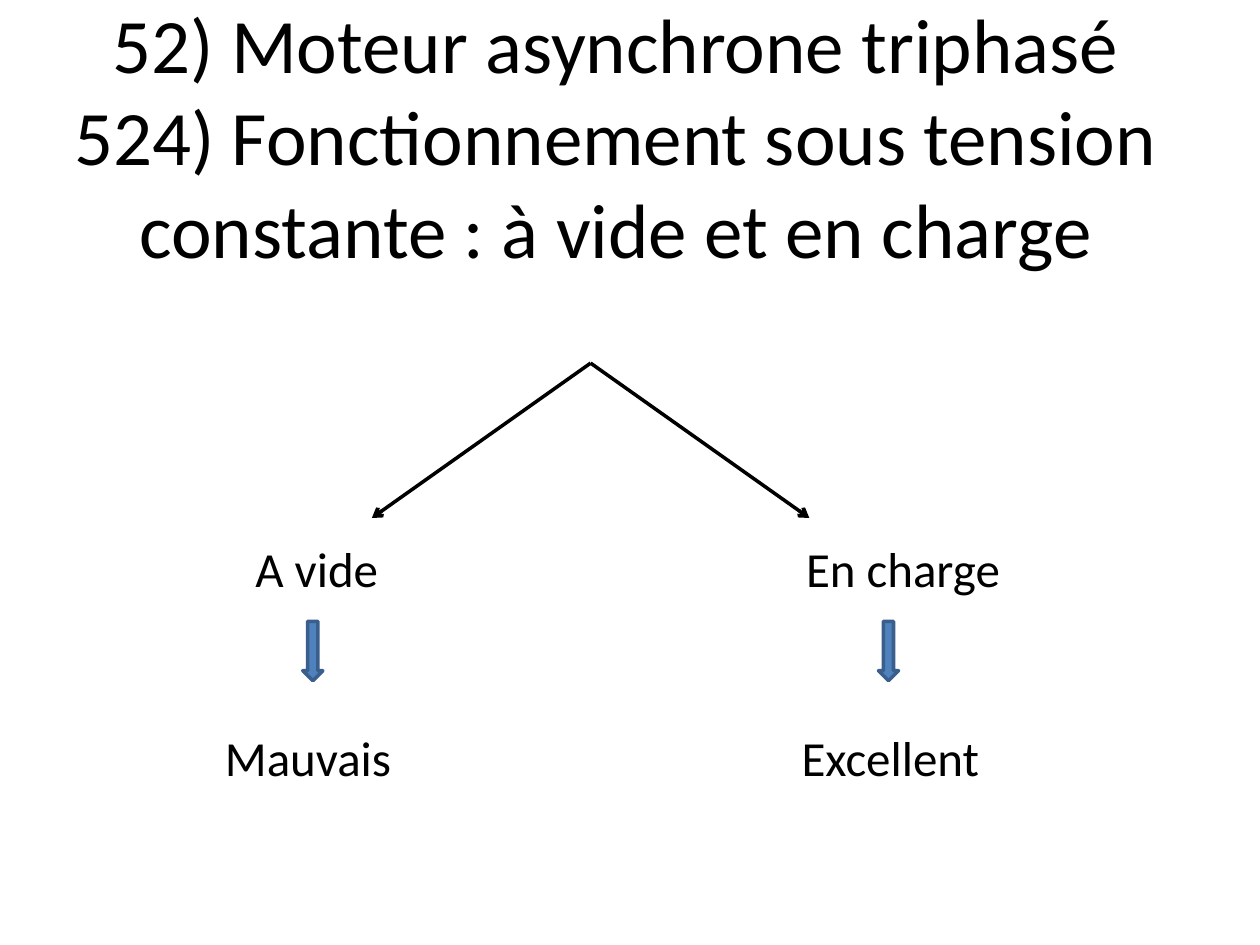
import pptx
import pptx.util
import pptx.dml.color
import pptx.enum.shapes
import pptx.enum.text
import pptx.oxml.ns
import lxml.etree

Pt = pptx.util.Pt
Align = pptx.enum.text.PP_ALIGN
Kind = pptx.enum.shapes


class Deck:
    """Holds the style and the current slide, and draws each kind of element."""

    font = "Calibri"
    hues = {"ink": "000000", "fill": "4F81BD", "edge": "3A5F8C"}

    def __init__(self, wide, high):
        self.file = pptx.Presentation()
        self.file.slide_width = Pt(wide)
        self.file.slide_height = Pt(high)
        self.slide = self.file.slides.add_slide(self.file.slide_layouts[5])

    def hue(self, name):
        return pptx.dml.color.RGBColor.from_string(self.hues[name])

    def run(self, para, text, size):
        run = para.add_run()
        run.text = text
        run.font.name = self.font
        run.font.size = Pt(size)
        run.font.color.rgb = self.hue("ink")

    def title(self, lines, left, top, wide, high):
        shape = self.slide.shapes.title
        shape.left, shape.top = Pt(left), Pt(top)
        shape.width, shape.height = Pt(wide), Pt(high)
        frame = shape.text_frame
        frame.auto_size = pptx.enum.text.MSO_AUTO_SIZE.NONE
        frame.vertical_anchor = pptx.enum.text.MSO_ANCHOR.MIDDLE
        para = frame.paragraphs[0]
        para.alignment = Align.CENTER
        for index, line in enumerate(lines):
            if index:
                para.add_line_break()
            self.run(para, line, 44)

    def label(self, text, left, top, wide, align):
        box = self.slide.shapes.add_textbox(Pt(left), Pt(top), Pt(wide), Pt(41))
        frame = box.text_frame
        frame.word_wrap = True
        frame.auto_size = pptx.enum.text.MSO_AUTO_SIZE.SHAPE_TO_FIT_TEXT
        para = frame.paragraphs[0]
        para.alignment = align
        self.run(para, text, 28)

    def branch(self, start, end):
        line = self.slide.shapes.add_connector(
            Kind.MSO_CONNECTOR.STRAIGHT, *map(Pt, start + end))
        line.line.color.rgb = self.hue("ink")
        line.line.width = Pt(2)
        qn = pptx.oxml.ns.qn
        props = line.line._get_or_add_ln()
        lxml.etree.SubElement(props, qn("a:tailEnd"), type="arrow")
        lxml.etree.SubElement(props.getparent(), qn("a:effectLst"))

    def arrow(self, left, top, wide, high):
        shape = self.slide.shapes.add_shape(
            Kind.MSO_SHAPE.DOWN_ARROW, Pt(left), Pt(top), Pt(wide), Pt(high))
        shape.shadow.inherit = False
        shape.fill.solid()
        shape.fill.fore_color.rgb = self.hue("fill")
        shape.line.color.rgb = self.hue("edge")
        shape.line.width = Pt(2)


def main():
    deck = Deck(720, 540)
    deck.title(["52) Moteur asynchrone triphasé",
                "524) Fonctionnement sous tension constante : à vide et en charge"],
               20, -13.5, 664, 181.5)
    cases = [("A vide", 116, "Mauvais", 121.5, 173, 212.5),
             ("En charge", 451, "Excellent", 451, 502, 462.5)]
    for state, left, grade, edge, mid, tip in cases:
        deck.branch((337.5, 207.5), (tip, 296))
        deck.label(state, left, 304, 130, Align.CENTER)
        deck.arrow(mid, 355, 11.5, 34)
        deck.label(grade, edge, 412, 124.5, Align.LEFT)
    deck.file.save("out.pptx")


if __name__ == "__main__":
    main()
